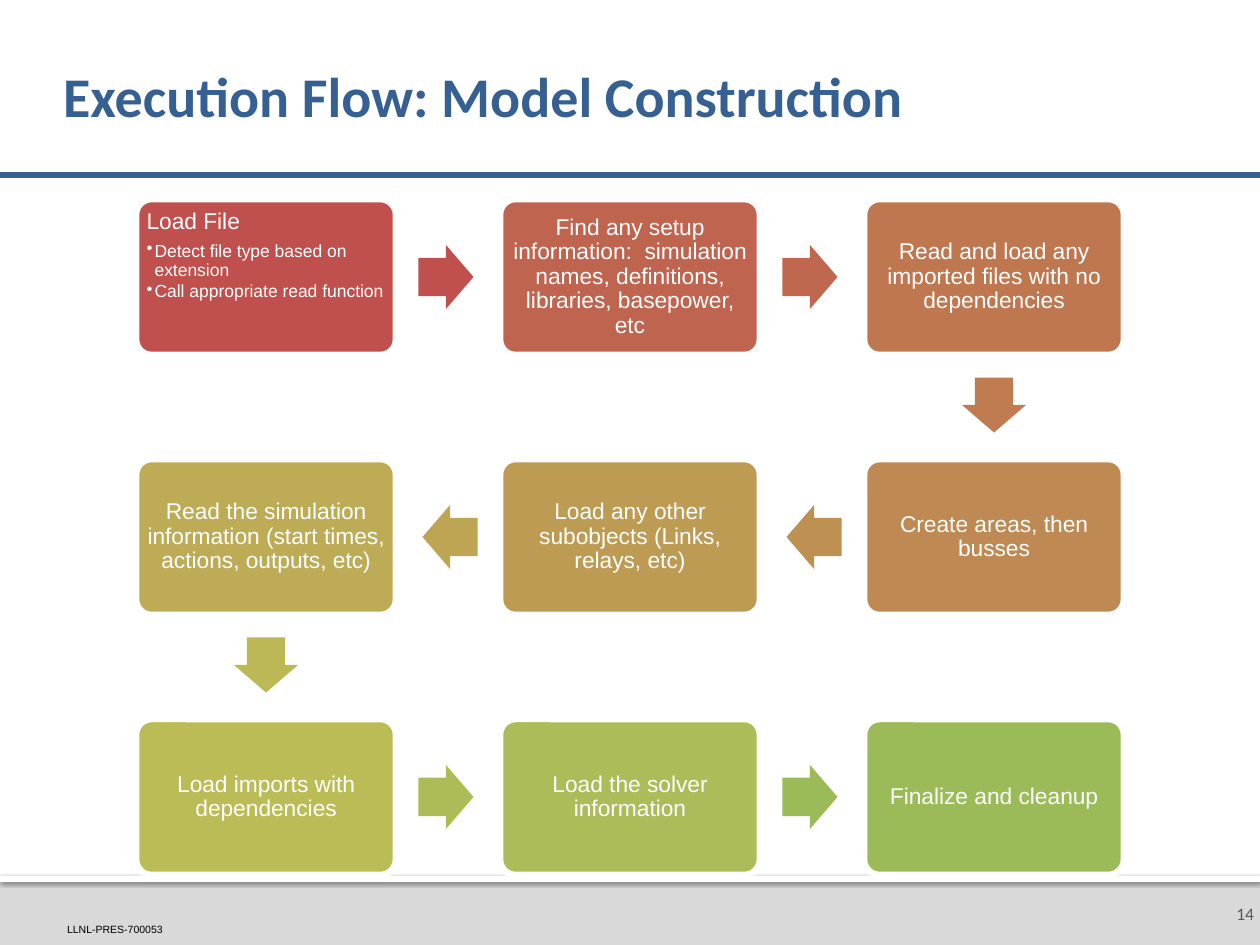
from lxml import etree
from pptx import Presentation
from pptx import util as u
from pptx.dml.color import RGBColor
from pptx.enum import shapes, text
from pptx.oxml import parse_xml
from pptx.oxml.ns import nsdecls, qn

PX = 914400 / 126
COLORS = {"blue": "376092", "gray": "D9D9D9", "white": "FFFFFF",
          "black": "000000", "number": "595959"}
STEPS = [
    ("Load File", "C0504D", "C0504D"),
    ("Find any setup information:  simulation names, definitions, "
     "libraries, basepower, etc", "BF644F", "BF674F"),
    ("Read and load any imported files with no dependencies", "BF7750", "BF7C50"),
    ("Create areas, then busses", "BE8952", "BE9152"),
    ("Load any other subobjects (Links, relays, etc)", "BD9B53", "BDA554"),
    ("Read the simulation information (start times, actions, outputs, etc)",
     "BDAC55", "BCB856"),
    ("Load imports with dependencies", "BCBC56", "AEBC57"),
    ("Load the solver information", "ABBC58", "9BBB59"),
    ("Finalize and cleanup", "9BBB59", None),
]
DETAILS = ["Detect file type based on extension", "Call appropriate read function"]
COLUMNS = 3
LEFT, TOP, BOX_W, BOX_H = 136, 199, 260, 156
PITCH_X, PITCH_Y = 364, 260
ARROW_W, ARROW_H = 55, 64
MOVES = {0: (180, 0), 90: (0, 128), 180: (-180, 0)}


def px(n):
    return int(n * PX)


def rgb(value):
    return RGBColor.from_string(value)


def set_frame(tf, anchor, insets):
    tf.word_wrap = True
    tf.vertical_anchor = anchor
    tf.margin_left, tf.margin_top, tf.margin_right, tf.margin_bottom = map(px, insets)


def format_text(p, size, color, align=text.PP_ALIGN.LEFT, font="Arial", bold=False):
    p.alignment = align
    for r in p.runs:
        r.font.size = u.Pt(size)
        r.font.name = font
        r.font.bold = bold
        r.font.color.rgb = rgb(color)


def add_shape(s, kind, x, y, w, h, fill):
    sp = s.shapes.add_shape(kind, px(x), px(y), px(w), px(h))
    sp.shadow.inherit = False
    sp.fill.solid()
    sp.fill.fore_color.rgb = rgb(fill)
    sp.line.fill.background()
    return sp


def add_label(s, words, x, y, w, h, anchor, insets, **style):
    tf = s.shapes.add_textbox(px(x), px(y), px(w), px(h)).text_frame
    set_frame(tf, anchor, insets)
    tf.text = words
    format_text(tf.paragraphs[0], **style)


def add_title(s):
    sp = s.shapes.title
    sp.left, sp.top, sp.width, sp.height = map(px, (63, 30, 1134, 139))
    tf = sp.text_frame
    set_frame(tf, text.MSO_ANCHOR.MIDDLE, (0, 6, 6, 6))
    tf.text = "Execution Flow: Model Construction"
    p = tf.paragraphs[0]
    p.line_spacing = 0.9
    format_text(p, 32, COLORS["blue"], font="Calibri", bold=True)


def add_rule(s):
    line = s.shapes.add_connector(shapes.MSO_CONNECTOR.STRAIGHT,
                                  px(-1), px(175), px(1260), px(175))
    line.line.color.rgb = rgb(COLORS["blue"])
    line.line.width = u.Pt(3)
    etree.SubElement(line._element.spPr, qn("a:effectLst"))


def add_footer(s):
    rect = shapes.MSO_SHAPE.RECTANGLE
    add_shape(s, rect, 0, 876, 1260, 69, COLORS["gray"])
    strip = add_shape(s, rect, 0, 876, 1260, 6, COLORS["white"])
    strip._element.spPr.find(qn("a:effectLst")).append(parse_xml(
        f'<a:outerShdw {nsdecls("a")} blurRad="{u.Pt(2.5)}" dist="{u.Pt(0.8)}" '
        'dir="5400000" rotWithShape="0"><a:srgbClr val="000000">'
        '<a:alpha val="60000"/></a:srgbClr></a:outerShdw>'))
    add_label(s, "LLNL-PRES-700053", 67, 923, 121, 13, text.MSO_ANCHOR.BOTTOM,
              (0, 0, 0, 0), size=6, color=COLORS["black"])
    add_label(s, "14", 1216, 882, 44, 63, text.MSO_ANCHOR.MIDDLE, (13, 6, 6, 6),
              size=10, color=COLORS["number"], align=text.PP_ALIGN.RIGHT,
              font="Calibri")


def add_step(s, words, x, y, fill):
    sp = add_shape(s, shapes.MSO_SHAPE.ROUNDED_RECTANGLE, x, y, BOX_W, BOX_H, fill)
    sp.adjustments[0] = 0.1
    sp.line.color.rgb = rgb(COLORS["white"])
    sp.line.width = u.Pt(3.78)
    tf = sp.text_frame
    set_frame(tf, text.MSO_ANCHOR.MIDDLE, (6, 6, 6, 6))
    tf.text = words
    p = tf.paragraphs[0]
    p.line_spacing = 0.9
    format_text(p, 13, COLORS["white"], text.PP_ALIGN.CENTER)
    return tf


def add_details(tf, items):
    tf.vertical_anchor = text.MSO_ANCHOR.TOP
    heading = tf.paragraphs[0]
    heading.alignment = text.PP_ALIGN.LEFT
    heading.space_after = u.Pt(4.55)
    for item in items:
        p = tf.add_paragraph()
        p.text = item
        p.level = 1
        p.line_spacing = 0.9
        p.space_after = u.Pt(1.5)
        pPr = p._p.get_or_add_pPr()
        pPr.set("marL", str(px(8)))
        pPr.set("indent", str(px(-8)))
        etree.SubElement(pPr, qn("a:buChar"), char="•")
        format_text(p, 10, COLORS["white"])


def add_arrow(s, x, y, angle, fill):
    dx, dy = MOVES[angle]
    sp = add_shape(s, shapes.MSO_SHAPE.RIGHT_ARROW,
                   x + (BOX_W - ARROW_W) / 2 + dx, y + (BOX_H - ARROW_H) / 2 + dy,
                   ARROW_W, ARROW_H, fill)
    sp.adjustments[0] = 0.6
    sp.adjustments[1] = 0.5
    sp.rotation = angle


def add_flow(s):
    for i, (words, fill, arrow_fill) in enumerate(STEPS):
        row, place = divmod(i, COLUMNS)
        backward = row % 2 == 1
        column = COLUMNS - 1 - place if backward else place
        x, y = LEFT + column * PITCH_X, TOP + row * PITCH_Y
        tf = add_step(s, words, x, y, fill)
        if i == 0:
            add_details(tf, DETAILS)
        if arrow_fill:
            angle = 90 if place == COLUMNS - 1 else 180 if backward else 0
            add_arrow(s, x, y, angle, arrow_fill)


def main():
    prs = Presentation()
    prs.slide_width, prs.slide_height = px(1260), px(945)
    s = prs.slides.add_slide(prs.slide_layouts[5])
    add_title(s)
    add_footer(s)
    add_rule(s)
    add_flow(s)
    prs.save("out.pptx")


if __name__ == "__main__":
    main()
